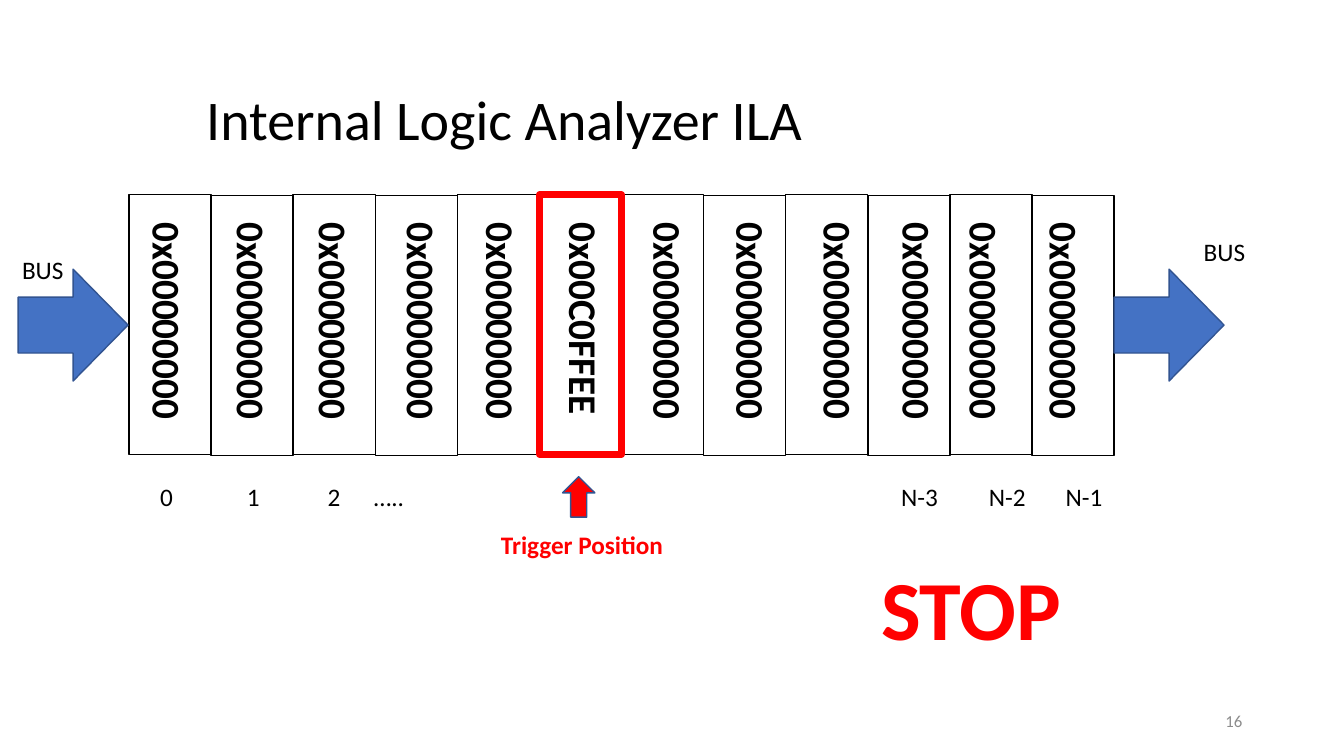
from lxml import etree
from pptx import Presentation
from pptx.dml.color import RGBColor
from pptx.enum.shapes import MSO_SHAPE as Preset
from pptx.enum.text import MSO_ANCHOR as Anchor, PP_ALIGN as Align
from pptx.oxml.ns import qn
from pptx.util import Inches, Pt

COLORS = {
    "text": "000000",
    "arrow": "4472C4",
    "arrow_line": "325491",
    "alert": "FF0000",
    "muted": "8C8C8C",
}
FONT = "Calibri"
CELL_COUNT = 12
TRIGGER_CELL = 5
WORD_SHIFTS = [-0.02, 0, 0, 0.06, 0.03, 0.04, 0.06, 0.07, 0.12, 0.09, -0.06, -0.08]


def color(name):
    return RGBColor.from_string(COLORS[name])


def place(shape, box):
    shape.left, shape.top, shape.width, shape.height = [Inches(length) for length in box]


def write(frame, text, size=18, ink="text", bold=False, align=Align.LEFT,
          anchor=Anchor.TOP, wrap=False, spacing=None, tabs=()):
    frame.word_wrap = wrap
    frame.vertical_anchor = anchor
    paragraph = frame.paragraphs[0]
    paragraph.alignment = align
    if spacing:
        paragraph.line_spacing = spacing
    if tabs:
        tab_list = etree.SubElement(paragraph._p.get_or_add_pPr(), qn("a:tabLst"))
        for position in tabs:
            etree.SubElement(tab_list, qn("a:tab"), pos=str(Inches(position)), algn="l")
    run = paragraph.add_run()
    run.text = text
    run.font.name = FONT
    run.font.size = Pt(size)
    run.font.bold = bold
    run.font.color.rgb = color(ink)


def add_text(slide, text, box, rotation=0, **style):
    shape = slide.shapes.add_textbox(*[Inches(length) for length in box])
    shape.rotation = rotation
    write(shape.text_frame, text, **style)


def add_preset(slide, preset, box, line, fill=None, weight=1):
    shape = slide.shapes.add_shape(preset, *[Inches(length) for length in box])
    shape.shadow.inherit = False
    if fill:
        shape.fill.solid()
        shape.fill.fore_color.rgb = color(fill)
    else:
        shape.fill.background()
    shape.line.color.rgb = color(line)
    shape.line.width = Pt(weight)


def add_title(slide, box):
    title = slide.shapes.title
    place(title, box)
    write(title.text_frame, "Internal Logic Analyzer ILA", size=40, align=Align.CENTER,
          anchor=Anchor.BOTTOM, wrap=True, spacing=0.9)


def add_buffer(slide, box):
    left, top, width, height = box
    cell_width = width / CELL_COUNT
    for index in range(CELL_COUNT):
        cell = (left + index * cell_width, top + index % 2 * 0.01, cell_width, height)
        add_preset(slide, Preset.RECTANGLE, cell, "text")

    trigger_left = left + TRIGGER_CELL * cell_width
    add_preset(slide, Preset.RECTANGLE, (trigger_left, top, cell_width, height),
               "alert", weight=4.5)

    word_width, word_height = 2.23, 0.57
    for index, shift in enumerate(WORD_SHIFTS):
        word = "0x00C0FFEE" if index == TRIGGER_CELL else "0x00000000"
        center = left + (index + 0.5) * cell_width + shift
        add_text(slide, word, (center - word_width / 2, top + 1.01, word_width, word_height),
                 rotation=90, size=28, bold=True, wrap=True)


def add_bus(slide, box, label_offset):
    left, top, width, height = box
    shift_x, shift_y = label_offset
    add_preset(slide, Preset.RIGHT_ARROW, box, "arrow_line", fill="arrow")
    add_text(slide, "BUS", (left + shift_x, top + shift_y, 0.62, 0.4))


def add_indexes(slide, box):
    left, top, width, height = box
    add_text(slide, "0\t1\t2\t…..", (left, top, 2.79, height), wrap=True,
             tabs=(0.86, 1.66, 2.12))
    add_text(slide, "N-3\tN-2\tN-1", (left + width - 2.35, top, 2.35, height), wrap=True,
             tabs=(0.87, 1.63))


def add_trigger(slide, box):
    left, top, width, height = box
    add_preset(slide, Preset.UP_ARROW, (left + 0.71, top, 0.32, 0.4), "arrow_line", fill="alert")
    add_text(slide, "Trigger Position", (left, top + height - 0.4, width, 0.4),
             ink="alert", bold=True)


def main():
    presentation = Presentation()
    presentation.slide_width = Inches(13.33)
    presentation.slide_height = Inches(7.5)
    slide = presentation.slides.add_slide(presentation.slide_layouts[5])

    add_title(slide, (0, 0.32, 10, 1.24))
    add_buffer(slide, (1.28, 1.93, 9.77, 2.58))
    add_bus(slide, (0.18, 2.67, 1.09, 1.11), (-0.06, -0.2))
    add_bus(slide, (11.05, 2.67, 1.09, 1.11), (0.79, -0.37))
    add_indexes(slide, (1.49, 4.73, 9.7, 0.4))
    add_trigger(slide, (4.87, 4.73, 1.82, 0.87))
    add_text(slide, "STOP", (8.64, 5.47, 2, 1.11), size=60, ink="alert", bold=True)
    add_text(slide, "16", (9.42, 6.95, 3, 0.4), size=12, ink="muted",
             align=Align.RIGHT, anchor=Anchor.MIDDLE, wrap=True)

    presentation.save("out.pptx")


if __name__ == "__main__":
    main()
